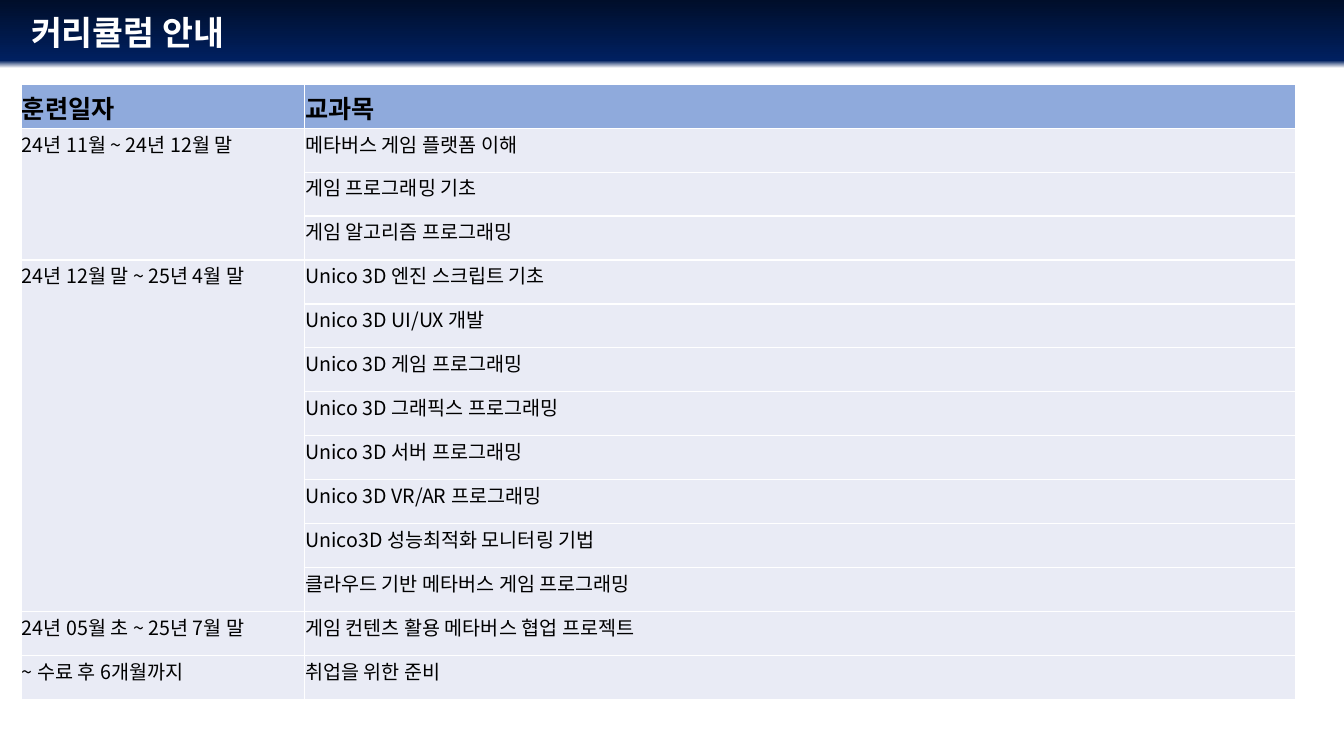
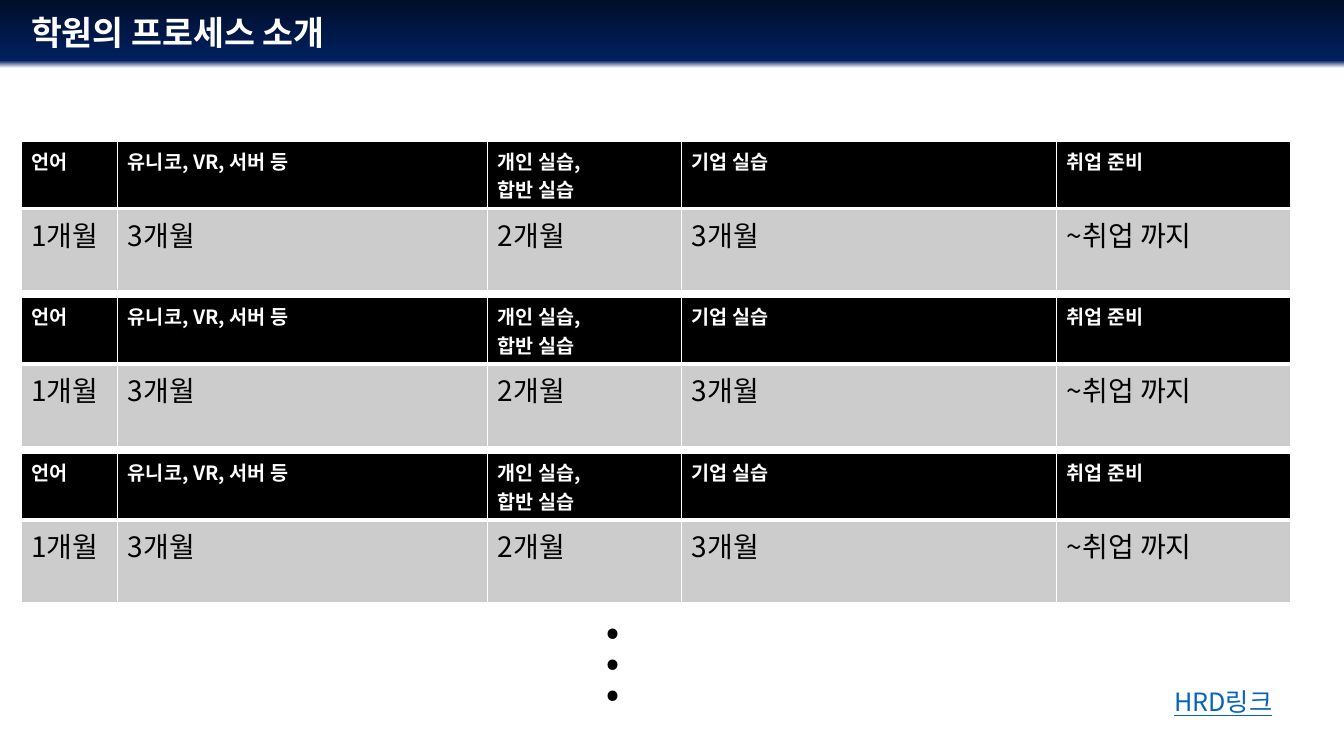
import copy
import pptx
import pptx.util
import pptx.dml.color
import pptx.enum.text
import pptx.oxml
import pptx.oxml.ns

Pt = pptx.util.Pt
qn = pptx.oxml.ns.qn
FONT = "Noto Sans CJK KR"
LEFT = 15
WHITE, BLACK = "FFFFFF", "000000"


def rgb(value):
    return pptx.dml.color.RGBColor.from_string(value)


def style(tf, size, color, bold=False):
    for p in tf.paragraphs:
        p.font.size = Pt(size)
        p.font.bold = bold
        p.font.name = FONT
        p.font.color.rgb = rgb(color)
        ea = pptx.oxml.parse_xml(f'<a:ea {pptx.oxml.ns.nsdecls("a")} typeface="{FONT}"/>')
        p.font._element.find(qn("a:latin")).addnext(ea)


prs = pptx.Presentation()
prs.slide_width = Pt(960)
prs.slide_height = Pt(540)

master = prs.slide_master
fill = master.background.fill
fill.gradient()
fill.gradient_angle = 270
stops = master.element.find(".//" + qn("a:gsLst"))
stops.append(copy.deepcopy(stops[-1]))
band = [(0, "000E2A"), (0.08, "002060"), (0.09, WHITE)]
for stop, (position, color) in zip(fill.gradient_stops, band):
    stop.position = position
    stop.color.rgb = rgb(color)

for title in ["커리큘럼 안내", "학원의 프로세스 소개"]:
    s = prs.slides.add_slide(prs.slide_layouts[5])
    sp = s.shapes.title
    sp.left, sp.top, sp.width, sp.height = Pt(LEFT), Pt(0), Pt(772), Pt(49)
    tf = sp.text_frame
    tf.text = title
    tf.auto_size = pptx.enum.text.MSO_AUTO_SIZE.NONE
    tf.vertical_anchor = pptx.enum.text.MSO_ANCHOR.MIDDLE
    tf.paragraphs[0].alignment = pptx.enum.text.PP_ALIGN.LEFT
    tf.paragraphs[0].line_spacing = 0.9
    style(tf, 24, WHITE, True)

curriculum, process = prs.slides

courses = [
    ("24년 11월 ~ 24년 12월 말", [
        "메타버스 게임 플랫폼 이해",
        "게임 프로그래밍 기초",
        "게임 알고리즘 프로그래밍",
    ]),
    ("24년 12월 말 ~ 25년 4월 말", [
        "Unico 3D 엔진 스크립트 기초",
        "Unico 3D UI/UX 개발",
        "Unico 3D 게임 프로그래밍",
        "Unico 3D 그래픽스 프로그래밍",
        "Unico 3D 서버 프로그래밍",
        "Unico 3D VR/AR 프로그래밍",
        "Unico3D 성능최적화 모니터링 기법",
        "클라우드 기반 메타버스 게임 프로그래밍",
    ]),
    ("24년 05월 초 ~ 25년 7월 말", ["게임 컨텐츠 활용 메타버스 협업 프로젝트"]),
    ("~ 수료 후 6개월까지", ["취업을 위한 준비"]),
]
course_rows = [("훈련일자", "교과목")]
merges = []
for period, subjects in courses:
    merges.append((len(course_rows), len(subjects)))
    for i, subject in enumerate(subjects):
        course_rows.append(("" if i else period, subject))

process_rows = [
    ("언어", "유니코, VR, 서버 등", "개인 실습,\n합반 실습", "기업 실습", "취업 준비"),
    ("1개월", "3개월", "2개월", "3개월", "~취업 까지"),
]

course_look = {
    "rows": course_rows, "merges": merges, "inset": 0.7,
    "widths": [202.4, 708.4], "heights": [31, 31.4],
    "fills": ["8FAADC", "E9EBF5"], "fonts": [(18, BLACK, True), (14, BLACK)],
    "anchor": pptx.enum.text.MSO_ANCHOR.MIDDLE, "rule": 1,
}
process_look = {
    "rows": process_rows, "merges": [], "inset": None,
    "widths": [69.2, 264.2, 138.6, 267.8, 167], "heights": [48, 59],
    "fills": [BLACK, "CCCCCC"], "fonts": [(14, WHITE, True), (20, BLACK)],
    "anchor": pptx.enum.text.MSO_ANCHOR.TOP, "rule": 3,
}
tables = [(curriculum, 60.6, course_look)]
tables += [(process, 100.8 + 111.4 * i, process_look) for i in range(3)]

for s, top, look in tables:
    rows, widths = look["rows"], look["widths"]
    table = s.shapes.add_table(
        len(rows), len(widths), Pt(LEFT), Pt(top), Pt(sum(widths)), Pt(100)).table
    for column, width in zip(table.columns, widths):
        column.width = Pt(width)
    for i, texts in enumerate(rows):
        kind = min(i, 1)
        table.rows[i].height = Pt(look["heights"][kind])
        for j, text in enumerate(texts):
            cell = table.cell(i, j)
            cell.text = text
            style(cell.text_frame, *look["fonts"][kind])
            if kind == 0:
                cell.vertical_anchor = look["anchor"]
            if look["inset"]:
                cell.margin_left = cell.margin_right = cell.margin_top = Pt(look["inset"])
                cell.margin_bottom = Pt(0)
            tcPr = cell._tc.get_or_add_tcPr()
            for side in "LRTB":
                weight = look["rule"] if kind == 0 and side == "B" else 1
                tcPr.append(pptx.oxml.parse_xml(
                    f'<a:ln{side} {pptx.oxml.ns.nsdecls("a")} w="{Pt(weight)}">'
                    f'<a:solidFill><a:srgbClr val="{WHITE}"/></a:solidFill></a:ln{side}>'))
            cell.fill.solid()
            cell.fill.fore_color.rgb = rgb(look["fills"][kind])
    for first, count in look["merges"]:
        if count > 1:
            table.cell(first, 0).merge(table.cell(first + count - 1, 0))

labels = [(".", 423.4, 398.2 + 22.3 * i, 72.8, 54, BLACK) for i in range(3)]
labels.append(("HRD링크", 831.6, 486.7, 28.8, 18, "0563C1"))
for text, left, top, height, size, color in labels:
    sp = process.shapes.add_textbox(Pt(left), Pt(top), Pt(90.8), Pt(height))
    tf = sp.text_frame
    tf.word_wrap = True
    tf.auto_size = pptx.enum.text.MSO_AUTO_SIZE.SHAPE_TO_FIT_TEXT
    tf.text = text
    style(tf, size, color)
tf.paragraphs[0].font.underline = True

prs.save("out.pptx")
